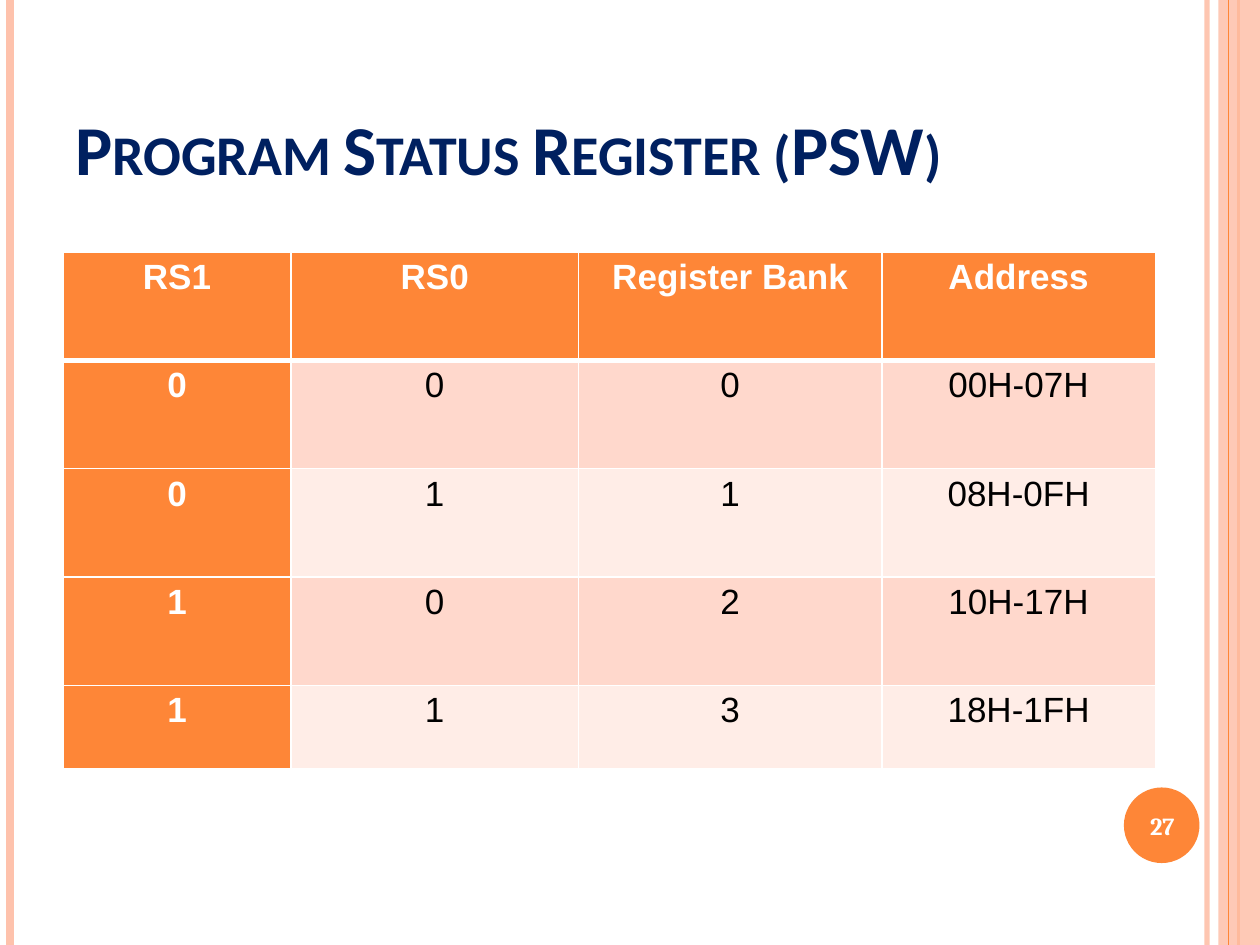
import pptx
import pptx.util
import pptx.dml.color
import pptx.enum.shapes
import pptx.enum.text
import pptx.oxml
import pptx.oxml.ns
from lxml import etree

Inches, Pt = pptx.util.Inches, pptx.util.Pt
KINDS = pptx.enum.shapes
ALIGN = pptx.enum.text.PP_ALIGN
ANCHOR = pptx.enum.text.MSO_ANCHOR

COLORS = {
    "orange": "FE8637", "peach": "FEC2AC", "navy": "002060",
    "white": "FFFFFF", "black": "000000", "dark": "FFD8CC", "light": "FFEDE7",
}

TITLE = "Program Status Register (PSW)"
NUMBER = "27"
ROWS = [
    ("RS1", "RS0", "Register Bank", "Address"),
    ("0", "0", "0", "00H-07H"),
    ("0", "1", "1", "08H-0FH"),
    ("1", "0", "2", "10H-17H"),
    ("1", "1", "3", "18H-1FH"),
]
WIDTHS = [1.81, 2.28, 2.41, 2.17]
HEIGHTS = [0.86, 0.86, 0.86, 0.86, 0.66]

# x, color, width in points, opacity in percent
RULES_BACK = [(9.58, "peach", 3, 93), (0.08, "peach", 4.5, 100),
              (9.83, "orange", 1.5, 100)]
RULES_FRONT = [(9.75, "orange", 0.75, 100)]

TITLE_FONT = {"name": "Calibri", "size": Pt(40), "bold": True}
HEAD_FONT = {"name": "Arial", "size": Pt(20), "bold": True}
CELL_FONT = {**HEAD_FONT, "bold": False}
NUMBER_FONT = {"name": "Cambria", "size": Pt(14), "bold": True}


def rgb(name):
    return pptx.dml.color.RGBColor.from_string(COLORS[name])


def apply(target, values):
    for key, value in values.items():
        setattr(target, key, value)


def paint(fill, color, alpha=100):
    """Fill with a solid color at an opacity in percent."""
    fill.solid()
    fill.fore_color.rgb = rgb(color)
    if alpha < 100:
        tone = fill._xPr.find(".//" + pptx.oxml.ns.qn("a:srgbClr"))
        etree.SubElement(tone, pptx.oxml.ns.qn("a:alpha"), val=str(alpha * 1000))


def rule(slide, x, color, width, alpha):
    line = slide.shapes.add_connector(
        KINDS.MSO_CONNECTOR.STRAIGHT, Inches(x), 0, Inches(x), Inches(7.5))
    line.line.width = Pt(width)
    paint(line.line.fill, color, alpha)
    etree.SubElement(line._element.spPr, pptx.oxml.ns.qn("a:effectLst"))


def block(slide, kind, box, color, alpha=100):
    shape = slide.shapes.add_shape(kind, *map(Inches, box))
    shape.shadow.inherit = False
    shape.line.fill.background()
    paint(shape.fill, color, alpha)


def write(frame, text, font, color, align):
    """Put one paragraph in a frame and return its run."""
    para = frame.paragraphs[0]
    para.alignment = align
    run = para.add_run()
    run.text = text
    apply(run.font, font)
    run.font.color.rgb = rgb(color)
    return run


def label(slide, box, anchor, *text):
    frame = slide.shapes.add_textbox(*map(Inches, box)).text_frame
    apply(frame, {"word_wrap": True, "vertical_anchor": anchor})
    return write(frame, *text)


def border(cell, widths):
    props = cell._tc.get_or_add_tcPr()
    for side, width in widths.items():
        props.append(pptx.oxml.parse_xml(
            f'<a:ln{side} {pptx.oxml.ns.nsdecls("a")} w="{Pt(width)}">'
            f'<a:solidFill><a:srgbClr val="{COLORS["white"]}"/></a:solidFill>'
            f'</a:ln{side}>'))


def bank_table(slide):
    table = slide.shapes.add_table(
        len(ROWS), len(WIDTHS), Inches(0.5), Inches(2),
        Inches(sum(WIDTHS)), Inches(sum(HEIGHTS))).table
    for col, width in zip(table.columns, WIDTHS):
        col.width = Inches(width)
    for row, height in zip(table.rows, HEIGHTS):
        row.height = Inches(height)
    for r, texts in enumerate(ROWS):
        for c, text in enumerate(texts):
            cell = table.cell(r, c)
            head = r == 0 or c == 0
            apply(cell, {"margin_left": Inches(0.07), "margin_right": Inches(0.07),
                         "margin_top": 0, "margin_bottom": 0})
            border(cell, {"L": 1, "R": 1, "T": 3 if r == 1 else 1,
                          "B": 3 if r == 0 else 1})
            paint(cell.fill, "orange" if head else "dark" if r % 2 else "light")
            write(cell.text_frame, text, HEAD_FONT if head else CELL_FONT,
                  "white" if head else "black", ALIGN.CENTER)
            cell.text_frame.paragraphs[0].line_spacing = 1.15


def main():
    deck = pptx.Presentation()
    apply(deck, {"slide_width": Inches(10), "slide_height": Inches(7.5)})
    slide = deck.slides.add_slide(deck.slide_layouts[6])
    paint(slide.background.fill, "white")
    for item in RULES_BACK:
        rule(slide, *item)
    block(slide, KINDS.MSO_SHAPE.RECTANGLE, (9.67, 0, 0.33, 7.5), "peach", 87)
    for item in RULES_FRONT:
        rule(slide, *item)
    block(slide, KINDS.MSO_SHAPE.OVAL, (8.92, 6.25, 0.6, 0.6), "orange")
    title = label(slide, (0.5, 0.3, 8.17, 1.25), ANCHOR.BOTTOM,
                  TITLE, TITLE_FONT, "navy", ALIGN.LEFT)
    title.font._element.set("cap", "small")
    bank_table(slide)
    label(slide, (8.89, 6.27, 0.67, 0.57), ANCHOR.MIDDLE,
          NUMBER, NUMBER_FONT, "white", ALIGN.CENTER)
    deck.save("out.pptx")


if __name__ == "__main__":
    main()
